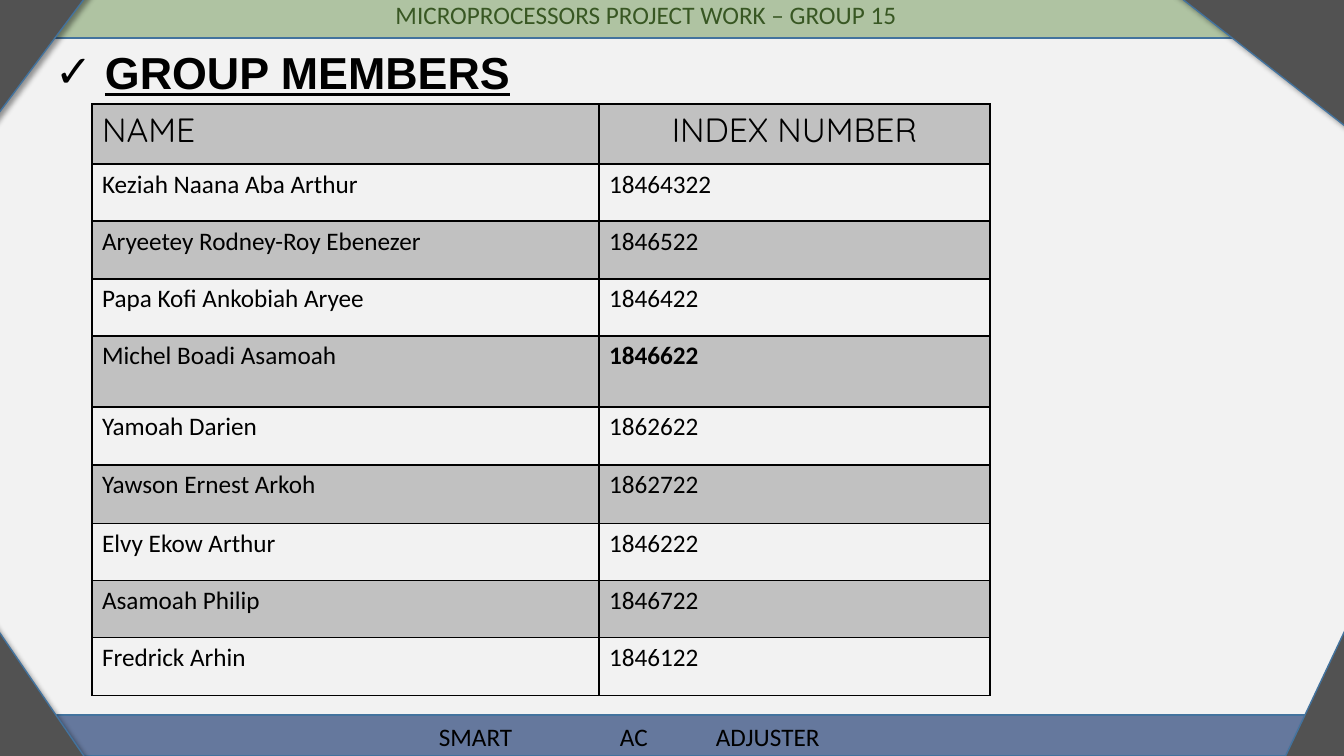
from lxml import etree
from pptx import Presentation
from pptx import util as u
from pptx.dml.color import RGBColor
from pptx.enum import shapes, text
from pptx.oxml import parse_xml
from pptx.oxml.ns import nsdecls, qn

BLACK = RGBColor(0x00, 0x00, 0x00)
PAPER = RGBColor(0xF2, 0xF2, 0xF2)
GREEN = RGBColor(0x54, 0x82, 0x35)
MOSS = RGBColor(0x38, 0x57, 0x23)
NAVY = RGBColor(0x00, 0x20, 0x60)
STEEL = RGBColor(0x43, 0x73, 0x9E)
GREY = RGBColor(0x52, 0x52, 0x52)

TAG = nsdecls("a")
SHADOW = (
    f'<a:effectLst {TAG}><a:outerShdw blurRad="50800" dist="38100" dir="2700000" '
    'algn="tl" rotWithShape="0"><a:srgbClr val="000000"><a:alpha val="40000"/>'
    "</a:srgbClr></a:outerShdw></a:effectLst>"
)
EDGES = ("lnL", "lnR", "lnT", "lnB")

MEMBERS = [
    ("Keziah Naana Aba Arthur", "18464322"),
    ("Aryeetey Rodney-Roy Ebenezer", "1846522"),
    ("Papa Kofi Ankobiah Aryee", "1846422"),
    ("Michel Boadi Asamoah", "1846622"),
    ("Yamoah Darien", "1862622"),
    ("Yawson Ernest Arkoh", "1862722"),
    ("Elvy Ekow Arthur", "1846222"),
    ("Asamoah Philip", "1846722"),
    ("Fredrick Arhin", "1846122"),
]
BOLD = "1846622"
ROWS = [60, 57, 58, 57, 71, 58, 59, 57, 57, 58]
COLS = [507, 391]
CORNERS = [
    ((-109, -9, 199, 133), 180),
    ((1193, -107, 143, 253), 292.2),
    ((-29, 630, 143, 253), 129.9),
    ((1267, 674, 199, 133), 115.3),
]


def px(n):
    return u.Inches(n / 100.8)


def tint(fill, color, alpha=100):
    fill.solid()
    fill.fore_color.rgb = color
    if alpha < 100:
        node = fill._xPr.find(qn("a:solidFill"))[0]
        etree.SubElement(node, qn("a:alpha")).set("val", str(alpha * 1000))


def write(frame, words, size=18, face="Calibri", color=BLACK, bold=False,
          under=False, align=text.PP_ALIGN.LEFT, bullet=None, hang=0, tabs=()):
    para = frame.paragraphs[0]
    para.alignment = align
    props = para._p.get_or_add_pPr()
    if bullet:
        props.set("marL", str(px(hang)))
        props.set("indent", str(-px(hang)))
        etree.SubElement(props, qn("a:buFont")).set("typeface", face)
        etree.SubElement(props, qn("a:buChar")).set("char", bullet)
    if tabs:
        stops = etree.SubElement(props, qn("a:tabLst"))
        for tab in tabs:
            etree.SubElement(stops, qn("a:tab"), pos=str(px(tab)), algn="l")
    run = para.add_run()
    run.text = words
    font = run.font
    font.size = u.Pt(size)
    font.name = face
    font.color.rgb = color
    font.bold = bold
    font.underline = under


class Deck:
    def __init__(self):
        self.show = Presentation()
        self.show.slide_width = px(1344)
        self.show.slide_height = px(756)
        self.slide = self.show.slides.add_slide(self.show.slide_layouts[6])
        tint(self.slide.background.fill, PAPER)

    def shape(self, kind, box, color, alpha=100, turn=0, shade=False):
        form = self.slide.shapes.add_shape(kind, *map(px, box))
        form.rotation = turn
        tint(form.fill, color, alpha)
        form.line.color.rgb = STEEL
        form.line.width = u.Pt(1)
        if shade:
            form._element.spPr.append(parse_xml(SHADOW))
        else:
            form.shadow.inherit = False
        return form

    def band(self, box, color, alpha):
        return self.shape(shapes.MSO_SHAPE.RECTANGLE, box, color, alpha)

    def corner(self, box, turn):
        self.shape(shapes.MSO_SHAPE.ISOSCELES_TRIANGLE, box, GREY, turn=turn, shade=True)

    def label(self, box, words, **style):
        frame = self.slide.shapes.add_textbox(*map(px, box)).text_frame
        frame.word_wrap = True
        frame.auto_size = text.MSO_AUTO_SIZE.SHAPE_TO_FIT_TEXT
        write(frame, words, **style)

    def cell(self, cell, words, dark, **style):
        props = cell._tc.get_or_add_tcPr()
        for edge in EDGES:
            props.append(parse_xml(
                f'<a:{edge} {TAG} w="12700"><a:solidFill><a:srgbClr val="{BLACK}"/>'
                f"</a:solidFill></a:{edge}>"))
        if dark:
            tint(cell.fill, BLACK, 20)
        else:
            cell.fill.background()
        write(cell.text_frame, words, **style)

    def table(self, left, top, cols, rows, head, body):
        box = (left, top, sum(cols), sum(rows))
        grid = self.slide.shapes.add_table(len(rows), len(cols), *map(px, box)).table
        grid.first_row = grid.horz_banding = False
        for col, wide in zip(grid.columns, cols):
            col.width = px(wide)
        for row, tall in zip(grid.rows, rows):
            row.height = px(tall)
        aligns = (text.PP_ALIGN.LEFT, text.PP_ALIGN.CENTER)
        for c, (words, align) in enumerate(zip(head, aligns)):
            self.cell(grid.cell(0, c), words, True, size=24, face="Quicksand", align=align)
        for r, line in enumerate(body, 1):
            for c, words in enumerate(line):
                self.cell(grid.cell(r, c), words, r % 2 == 0, bold=words == BOLD)


def main():
    deck = Deck()
    top = deck.band((40, -9, 1212, 47), GREEN, 42)
    top.text_frame.vertical_anchor = text.MSO_ANCHOR.MIDDLE
    write(top.text_frame, "MICROPROCESSORS PROJECT WORK – GROUP 15",
          color=MOSS, align=text.PP_ALIGN.CENTER)
    deck.band((57, 715, 1267, 41), NAVY, 58)
    for box, turn in CORNERS:
        deck.corner(box, turn)
    deck.table(92, 104, COLS, ROWS, ("NAME", "INDEX NUMBER"), MEMBERS)
    deck.label((45, 40, 815, 65), "GROUP MEMBERS", size=32, face="Arial",
               bold=True, under=True, bullet="✓", hang=50)
    deck.label((429, 716, 627, 40), "SMART\tAC\tADJUSTER", tabs=(181, 277))
    deck.show.save("out.pptx")


if __name__ == "__main__":
    main()
